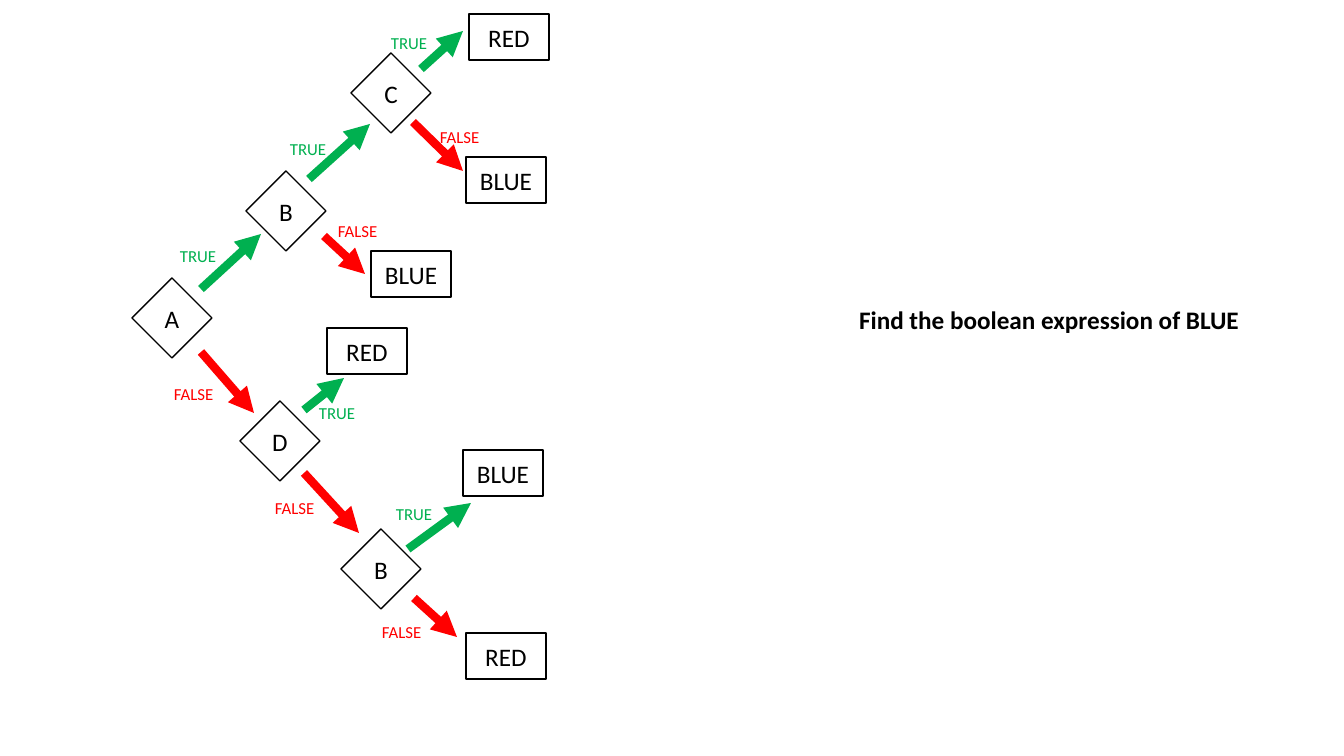
from lxml.etree import SubElement
from pptx import Presentation
from pptx.dml.color import RGBColor
from pptx.enum.shapes import MSO_CONNECTOR, MSO_SHAPE
from pptx.enum.text import MSO_ANCHOR, MSO_AUTO_SIZE, PP_ALIGN
from pptx.oxml.ns import qn
from pptx.util import Pt

SCALE = 914400 / 100.8
FONT = "Calibri"
BLACK, GREEN, RED = "000000", "00B050", "FF0000"
NODE, LEAF_H = 80, 46
OUTCOMES = {"TRUE": (GREEN, 57), "FALSE": (RED, 67)}

DECISIONS = [("A", 0, 264), ("D", 108, 387), ("B", 114, 157),
             ("C", 219, 39), ("B", 209, 515)]
LEAVES = [("RED", 337, 0), ("BLUE", 334, 143), ("BLUE", 239, 237),
          ("RED", 195, 314), ("BLUE", 331, 436), ("RED", 334, 619)]
BRANCHES = [
    ("TRUE", (69, 275), (129, 220), (38, 227)),
    ("FALSE", (69, 338), (122, 399), (32, 365)),
    ("TRUE", (177, 165), (238, 110), (148, 120)),
    ("FALSE", (192, 222), (233, 260), (196, 202)),
    ("TRUE", (289, 55), (331, 17), (249, 14)),
    ("FALSE", (281, 108), (331, 157), (298, 108)),
    ("TRUE", (172, 396), (212, 364), (177, 384)),
    ("FALSE", (172, 459), (227, 519), (133, 479)),
    ("TRUE", (276, 535), (339, 489), (254, 485)),
    ("FALSE", (282, 584), (325, 623), (240, 603)),
]


def px(*values):
    """Turn pixel lengths into EMU."""
    return [round(v * SCALE) for v in values]


def rgb(color):
    """Turn a hex string into a colour."""
    return RGBColor.from_string(color)


def write(tf, text, size=18, color=BLACK, bold=False, align=PP_ALIGN.LEFT,
          anchor=MSO_ANCHOR.TOP):
    """Fill a text frame with one formatted line."""
    tf.auto_size = MSO_AUTO_SIZE.NONE
    tf.word_wrap = False
    tf.vertical_anchor = anchor
    p = tf.paragraphs[0]
    p.alignment = align
    r = p.add_run()
    r.text = text
    r.font.name, r.font.size, r.font.bold = FONT, Pt(size), bold
    r.font.color.rgb = rgb(color)


def add_node(s, kind, text, x, y, w, h):
    """Add an outlined tree node with centred text."""
    sp = s.shapes.add_shape(kind, *px(x, y, w, h))
    sp.shadow.inherit = False
    sp.fill.background()
    sp.line.color.rgb = rgb(BLACK)
    sp.line.width = Pt(1)
    write(sp.text_frame, text, align=PP_ALIGN.CENTER, anchor=MSO_ANCHOR.MIDDLE)


def add_arrow(s, start, end, color):
    """Add a thick arrow between two points."""
    line = s.shapes.add_connector(MSO_CONNECTOR.STRAIGHT, *px(*start, *end))
    line.line.color.rgb = rgb(color)
    line.line.width = Pt(6)
    SubElement(line.line._get_or_add_ln(), qn("a:tailEnd"), type="triangle")
    SubElement(line._element.spPr, qn("a:effectLst"))


def add_tree(s, x, y):
    """Draw the decision tree from its top left corner."""
    for text, dx, dy in DECISIONS:
        add_node(s, MSO_SHAPE.FLOWCHART_DECISION, text, x + dx, y + dy, NODE, NODE)
    for outcome, start, end, _ in BRANCHES:
        add_arrow(s, (x + start[0], y + start[1]), (x + end[0], y + end[1]),
                  OUTCOMES[outcome][0])
    for text, dx, dy in LEAVES:
        add_node(s, MSO_SHAPE.RECTANGLE, text, x + dx, y + dy, NODE, LEAF_H)
    for outcome, _, _, (dx, dy) in BRANCHES:
        color, width = OUTCOMES[outcome]
        label = s.shapes.add_textbox(*px(x + dx, y + dy, width, 30))
        write(label.text_frame, outcome, size=12, color=color)


def add_question(s, x, y, w, h):
    """Place the question in the title placeholder."""
    title = s.shapes.title
    title.left, title.top, title.width, title.height = px(x, y, w, h)
    write(title.text_frame, "Find the boolean expression of BLUE", bold=True)


prs = Presentation()
prs.slide_width, prs.slide_height = px(1344, 756)
s = prs.slides.add_slide(prs.slide_layouts[5])
add_question(s, 849, 299, 403, 40)
add_tree(s, 132, 14)
prs.save("out.pptx")
